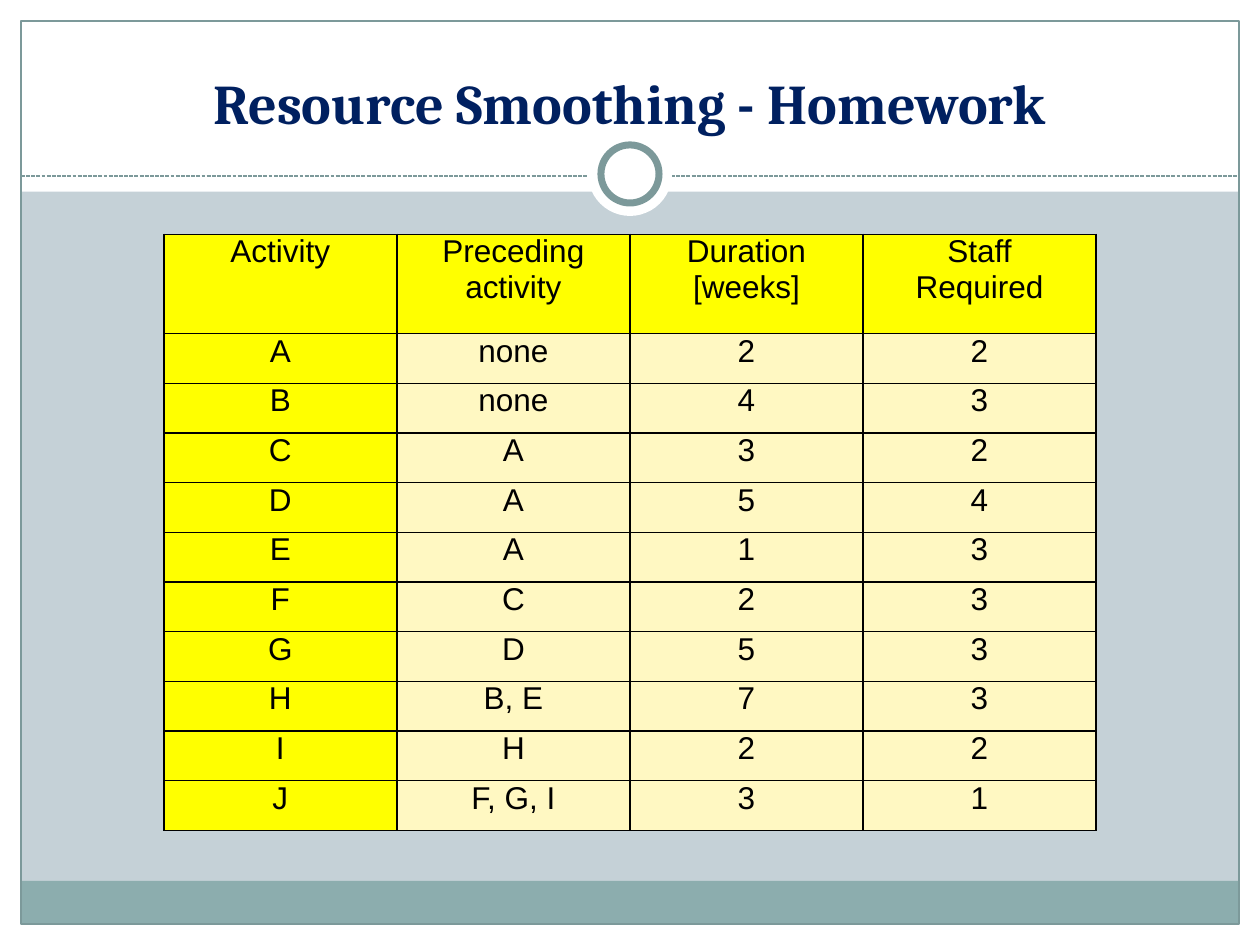
from dataclasses import dataclass

from lxml.etree import SubElement
from pptx import Presentation
from pptx.dml.color import RGBColor
from pptx.enum.dml import MSO_LINE
from pptx.enum.shapes import MSO_CONNECTOR, MSO_SHAPE
from pptx.enum.text import MSO_ANCHOR, PP_ALIGN
from pptx.oxml import parse_xml
from pptx.oxml.ns import nsdecls, qn
from pptx.util import Pt


@dataclass(frozen=True)
class Theme:
    background: str = "C5D1D7"
    paper: str = "FFFFFF"
    footer: str = "8CADAE"
    rule: str = "7C999A"
    title: str = "002060"
    ink: str = "000000"
    heading_fill: str = "FFFF00"
    value_fill: str = "FFF8C2"
    title_font: str = "Cambria"
    table_font: str = "Arial"
    title_size: int = 32
    table_size: int = 18


THEME = Theme()
SLIDE_WIDTH, SLIDE_HEIGHT, MARGIN = 720, 540, 12
TABLE_LEFT, TABLE_TOP = 93.6, 133.9
COLUMN_WIDTH, ROW_HEIGHT = 133.2, 28.4

HEADINGS = ("Activity", "Preceding activity", "Duration [weeks]", "Staff\nRequired")
ACTIVITIES = (
    ("A", "none", 2, 2),
    ("B", "none", 4, 3),
    ("C", "A", 3, 2),
    ("D", "A", 5, 4),
    ("E", "A", 1, 3),
    ("F", "C", 2, 3),
    ("G", "D", 5, 3),
    ("H", "B, E", 7, 3),
    ("I", "H", 2, 2),
    ("J", "F, G, I", 3, 1),
)


def color(code):
    return RGBColor.from_string(code)


def format_text(frame, font, size, ink, bold=False):
    for paragraph in frame.paragraphs:
        paragraph.alignment = PP_ALIGN.CENTER
        for run in paragraph.runs:
            run.font.name = font
            run.font.size = Pt(size)
            run.font.bold = bold
            run.font.color.rgb = color(ink)


def add_panel(slide, kind, box, fill=None, line_width=None):
    """Add a plain shape; without a fill or line width that part stays empty."""
    panel = slide.shapes.add_shape(kind, *map(Pt, box))
    panel.shadow.inherit = False
    if fill:
        panel.fill.solid()
        panel.fill.fore_color.rgb = color(fill)
    else:
        panel.fill.background()
    if line_width:
        panel.line.color.rgb = color(THEME.rule)
        panel.line.width = Pt(line_width)
    else:
        panel.line.fill.background()


def add_dashed_rule(slide, y):
    rule = slide.shapes.add_connector(
        MSO_CONNECTOR.STRAIGHT, Pt(MARGIN), Pt(y), Pt(SLIDE_WIDTH - MARGIN), Pt(y))
    rule.line.color.rgb = color(THEME.rule)
    rule.line.width = Pt(0.75)
    rule.line.dash_style = MSO_LINE.SQUARE_DOT
    SubElement(rule._element.spPr, qn("a:effectLst"))


def add_backdrop(slide):
    slide.background.fill.solid()
    slide.background.fill.fore_color.rgb = color(THEME.background)
    inner_width = SLIDE_WIDTH - 2 * MARGIN
    inner_height = SLIDE_HEIGHT - 2 * MARGIN
    white_edges = (
        (0, SLIDE_HEIGHT - MARGIN, SLIDE_WIDTH, MARGIN),
        (0, 0, SLIDE_WIDTH, 109.5),
        (0, 0, MARGIN, SLIDE_HEIGHT),
        (SLIDE_WIDTH - MARGIN, 0, MARGIN, SLIDE_HEIGHT),
    )
    for edge in white_edges:
        add_panel(slide, MSO_SHAPE.RECTANGLE, edge, THEME.paper)
    add_panel(slide, MSO_SHAPE.RECTANGLE, (MARGIN, 503.3, inner_width, 24.7), THEME.footer)
    add_panel(slide, MSO_SHAPE.RECTANGLE,
              (MARGIN, MARGIN, inner_width, inner_height), line_width=0.75)
    add_dashed_rule(slide, 100.6)
    for diameter, line_width in ((48, None), (33.2, 4)):
        left, top = SLIDE_WIDTH / 2 - diameter / 2, 99.4 - diameter / 2
        add_panel(slide, MSO_SHAPE.OVAL, (left, top, diameter, diameter),
                  THEME.paper, line_width)


def set_title(slide, text):
    title = slide.shapes.title
    title.left, title.top, title.width, title.height = map(Pt, (24, 18, 672, 59.8))
    frame = title.text_frame
    frame.text = text
    frame.word_wrap = True
    frame.vertical_anchor = MSO_ANCHOR.BOTTOM
    frame.margin_bottom = 0
    format_text(frame, THEME.title_font, THEME.title_size, THEME.title, bold=True)
    # The placeholder comes first by default, so bring it in front of the backdrop.
    slide.shapes._spTree.append(title._element)


def set_borders(cell):
    properties = cell._tc.get_or_add_tcPr()
    for position, side in enumerate(("lnL", "lnR", "lnT", "lnB")):
        properties.insert(position, parse_xml(
            f'<a:{side} {nsdecls("a")} w="{Pt(1)}"><a:solidFill>'
            f'<a:srgbClr val="{THEME.ink}"/></a:solidFill></a:{side}>'))


def fill_cell(cell, text, fill):
    cell.text_frame.text = text
    cell.margin_left = cell.margin_right = Pt(3.6)
    cell.margin_top = cell.margin_bottom = 0
    cell.fill.solid()
    cell.fill.fore_color.rgb = color(fill)
    format_text(cell.text_frame, THEME.table_font, THEME.table_size, THEME.ink)
    set_borders(cell)


def add_activity_table(slide):
    records = (HEADINGS, *ACTIVITIES)
    table = slide.shapes.add_table(
        len(records), len(HEADINGS), Pt(TABLE_LEFT), Pt(TABLE_TOP),
        Pt(COLUMN_WIDTH * len(HEADINGS)), Pt(ROW_HEIGHT * (len(records) + 1))).table
    table.first_row = table.horz_banding = False
    for column in table.columns:
        column.width = Pt(COLUMN_WIDTH)
    for row_index, record in enumerate(records):
        table.rows[row_index].height = Pt(ROW_HEIGHT * (1 if row_index else 2))
        for column_index, value in enumerate(record):
            is_heading = row_index == 0 or column_index == 0
            fill_cell(table.cell(row_index, column_index), str(value),
                      THEME.heading_fill if is_heading else THEME.value_fill)


def main():
    presentation = Presentation()
    presentation.slide_width = Pt(SLIDE_WIDTH)
    presentation.slide_height = Pt(SLIDE_HEIGHT)
    slide = presentation.slides.add_slide(
        presentation.slide_layouts.get_by_name("Title Only"))
    add_backdrop(slide)
    set_title(slide, "Resource Smoothing - Homework")
    add_activity_table(slide)
    presentation.save("out.pptx")


if __name__ == "__main__":
    main()
